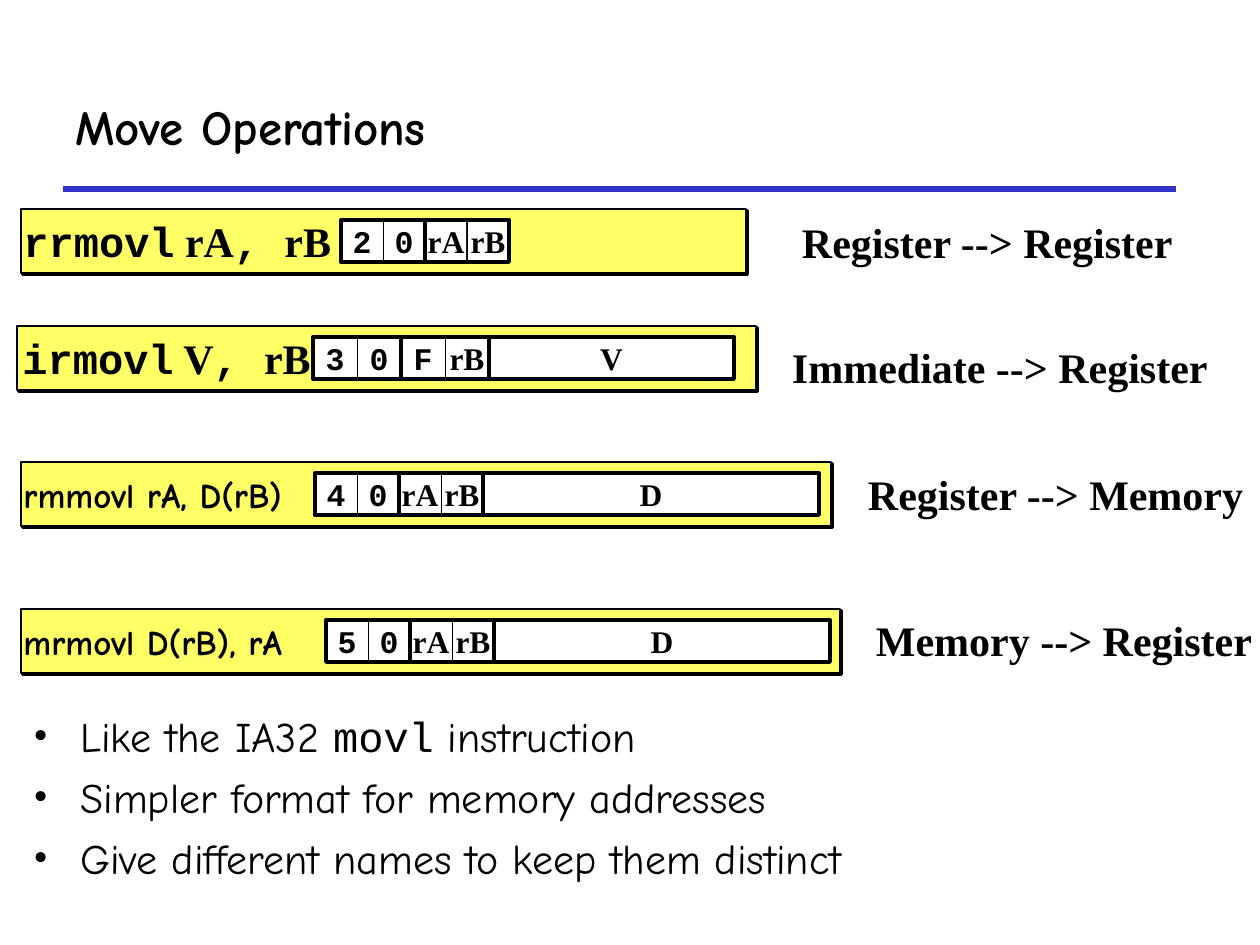
"""Build the Move Operations slide: four instruction encodings and three notes."""
from lxml import etree
from pptx import Presentation, util as u
from pptx.dml.color import RGBColor
from pptx.enum import shapes, text
from pptx.oxml.ns import qn

COLORS = {"ink": "000000", "bar": "FFFF66", "field": "FFFFFF", "rule": "3333CC"}
HAND, CODE, SERIF = "Comic Neue", "Courier New", "Times New Roman"

TITLE = "Move Operations"
INSTRUCTIONS = [
    {"label": [("rrmovl", CODE), (" rA", SERIF), (", ", CODE), ("rB", SERIF)],
     "size": 24, "label_x": 11, "bar": (21, 209, 725), "fields_x": 341, "field_w": 42,
     "nibbles": ["2", "0", "rA", "rB"], "constant": None,
     "caption": "Register --> Register", "caption_at": (796, 210, 384)},
    {"label": [("irmovl", CODE), (" V", SERIF), (", ", CODE), ("rB", SERIF)],
     "size": 24, "label_x": 10, "bar": (17, 326, 739), "fields_x": 313, "field_w": 44,
     "nibbles": ["3", "0", "F", "rB"], "constant": ("V", 245),
     "caption": "Immediate --> Register", "caption_at": (786, 335, 430)},
    {"label": [("rmmovl rA, D(rB)", HAND)],
     "size": 20, "label_x": 11, "bar": (21, 462, 810), "fields_x": 315, "field_w": 42,
     "nibbles": ["4", "0", "rA", "rB"], "constant": ("D", 336),
     "caption": "Register --> Memory", "caption_at": (862, 462, 389)},
    {"label": [("mrmovl D(rB), rA", HAND)],
     "size": 20, "label_x": 11, "bar": (21, 609, 819), "fields_x": 326, "field_w": 42,
     "nibbles": ["5", "0", "rA", "rB"], "constant": ("D", 336),
     "caption": "Memory --> Register", "caption_at": (870, 608, 389)},
]
NOTES = [
    [("Like the IA32 ", HAND), ("movl", CODE), (" instruction", HAND)],
    [("Simpler format for memory addresses", HAND)],
    [("Give different names to keep them distinct", HAND)],
]
BAR_H, FIELD_H, FIELD_DROP, LABEL_W, INDENT = 64, 42, 11, 345, 47


def px(length):
    return u.Emu(round(length * 914400 / 126))


def color(name):
    return RGBColor.from_string(COLORS[name])


def add_runs(paragraph, runs, size, bold):
    for words, font in runs:
        run = paragraph.add_run()
        run.text = words
        run.font.name, run.font.size, run.font.bold = font, u.Pt(size), bold
        run.font.color.rgb = color("ink")


def add_words(slide, box, runs, size, anchor=text.MSO_ANCHOR.MIDDLE, inset=None):
    frame = slide.shapes.add_textbox(*map(px, box)).text_frame
    frame.word_wrap = False
    frame.vertical_anchor = anchor
    if inset is not None:
        frame.margin_left = frame.margin_right = px(inset)
    add_runs(frame.paragraphs[0], runs, size, True)


def add_box(slide, box, fill, weight, words=None):
    shape = slide.shapes.add_shape(shapes.MSO_SHAPE.RECTANGLE, *map(px, box))
    shape.shadow.inherit = False
    if fill:
        shape.fill.solid()
        shape.fill.fore_color.rgb = color(fill)
    else:
        shape.fill.background()
    shape.line.color.rgb = color("ink")
    shape.line.width = u.Pt(weight)
    if words:
        frame = shape.text_frame
        frame.word_wrap = False
        frame.vertical_anchor = text.MSO_ANCHOR.MIDDLE
        paragraph = frame.paragraphs[0]
        paragraph.alignment = text.PP_ALIGN.CENTER
        font = SERIF if words in ("rA", "rB", "V", "D") else CODE
        add_runs(paragraph, [(words, font)], 18, True)
    return shape


def add_hard_shadow(shape):
    effects = shape._element.spPr.find(qn("a:effectLst"))
    shadow = etree.SubElement(effects, qn("a:outerShdw"), blurRad="0",
                              dist=str(u.Pt(1.4)), dir="2700000", algn="ctr", rotWithShape="0")
    etree.SubElement(shadow, qn("a:srgbClr"), val=COLORS["ink"])


def add_instruction(slide, row):
    left, top, width = row["bar"]
    add_hard_shadow(add_box(slide, (left, top, width, BAR_H), "bar", 1.5))
    field_y, field_w = top + FIELD_DROP, row["field_w"]
    add_words(slide, (row["label_x"], field_y, LABEL_W, FIELD_H), row["label"], row["size"])
    xs = [row["fields_x"] + i * field_w for i in range(5)]
    for x, nibble in zip(xs, row["nibbles"]):
        add_box(slide, (x, field_y, field_w, FIELD_H), "field", 0.5, nibble)
    for x in xs[0:4:2]:
        add_box(slide, (x, field_y, 2 * field_w, FIELD_H), None, 2.25)
    if row["constant"]:
        words, constant_w = row["constant"]
        add_box(slide, (xs[4], field_y, constant_w, FIELD_H), "field", 2.25, words)
    add_words(slide, (*row["caption_at"], BAR_H), [(row["caption"], SERIF)], 24,
              text.MSO_ANCHOR.TOP, 6)


def add_notes(slide):
    frame = slide.shapes.add_textbox(*map(px, (21, 704, 1062, 214))).text_frame
    frame.word_wrap = True
    for i, runs in enumerate(NOTES):
        paragraph = frame.add_paragraph() if i else frame.paragraphs[0]
        if i:
            paragraph.space_before = u.Pt(6)
        props = paragraph._p.get_or_add_pPr()
        props.set("marL", str(px(INDENT)))
        props.set("indent", str(-px(INDENT)))
        etree.SubElement(props, qn("a:buFont"), typeface=SERIF)
        etree.SubElement(props, qn("a:buChar"), char="•")
        add_runs(paragraph, runs, 24, False)


def main():
    deck = Presentation()
    deck.slide_width, deck.slide_height = px(1260), px(945)
    slide = deck.slides.add_slide(deck.slide_layouts[6])
    rule = slide.shapes.add_connector(shapes.MSO_CONNECTOR.STRAIGHT,
                                      *map(px, (63, 189, 1176, 189)))
    rule.line.color.rgb = color("rule")
    rule.line.width = u.Pt(3)
    etree.SubElement(rule._element.spPr, qn("a:effectLst"))
    add_words(slide, (63, 63, 1113, 126), [(TITLE, HAND)], 28)
    add_notes(slide)
    for row in INSTRUCTIONS:
        add_instruction(slide, row)
    deck.save("out.pptx")


if __name__ == "__main__":
    main()
